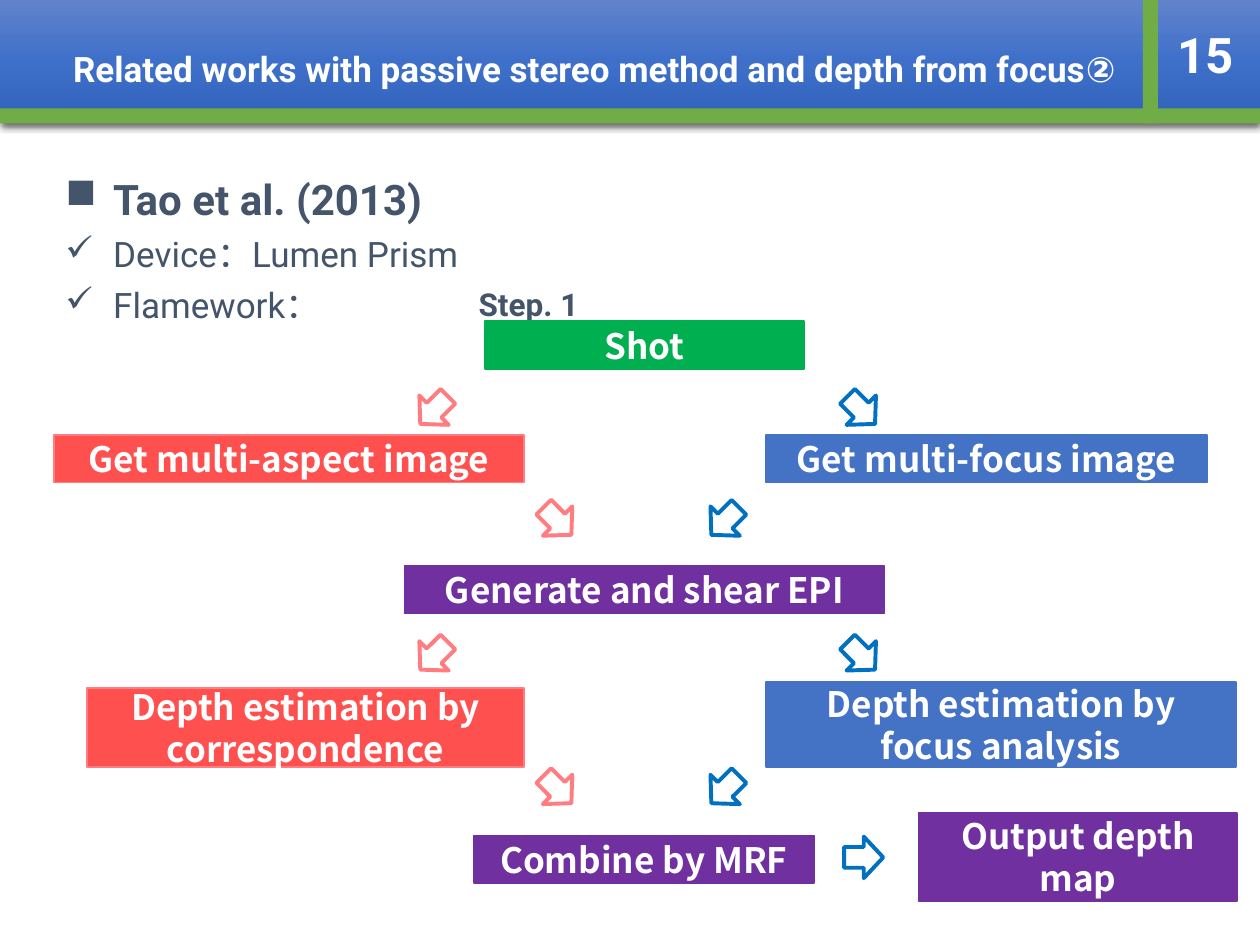
import copy
import pptx
import pptx.util
import pptx.oxml
import pptx.oxml.ns
import pptx.dml.color
import pptx.enum.shapes
import pptx.enum.text

Inches, Pt = pptx.util.Inches, pptx.util.Pt
RECT = pptx.enum.shapes.MSO_SHAPE.RECTANGLE
UP_ARROW = pptx.enum.shapes.MSO_SHAPE.UP_ARROW
CENTER = pptx.enum.text.PP_ALIGN.CENTER
MIDDLE = pptx.enum.text.MSO_ANCHOR.MIDDLE
WHITE, SLATE, GREEN, BLUE = "FFFFFF", "44546A", "70AD47", "0070C0"
PINK, PURPLE = "FF7C80", "7030A0"


def color(target, value):
    if hasattr(target, "solid"):
        target.solid()
        target = target.fore_color
    target.rgb = pptx.dml.color.RGBColor.from_string(value)


def style(p, size, value, bold=True, name="Roboto"):
    for r in p.runs:
        r.font.size, r.font.bold, r.font.name = Pt(size), bold, name
        color(r.font.color, value)


prs = pptx.Presentation()
prs.slide_width, prs.slide_height = Inches(10), Inches(7.5)
s = prs.slides.add_slide(prs.slide_layouts[6])

header = s.shapes.add_shape(RECT, 0, 0, Inches(10), Inches(0.98))
header.shadow.inherit = False
header.line.fill.background()
header.fill.gradient()
header.fill.gradient_angle = 270
first_stop = next(header._element.iter(pptx.oxml.ns.qn("a:gs")))
first_stop.addnext(copy.deepcopy(first_stop))
stops = [(0, "6183CB"), (0.5, "3E70CA"), (1, "3062BB")]
for stop, (position, value) in zip(header.fill.gradient_stops, stops):
    stop.position = position
    color(stop.color, value)
effects = next(header._element.iter(pptx.oxml.ns.qn("a:effectLst")))
effects.append(pptx.oxml.parse_xml(
    f'<a:outerShdw {pptx.oxml.ns.nsdecls("a")} blurRad="57150" dist="19050" dir="5400000" '
    'algn="ctr" rotWithShape="0"><a:srgbClr val="000000"><a:alpha val="63000"/></a:srgbClr></a:outerShdw>'))
tf = header.text_frame
tf.text = "Related works with passive stereo method and depth from focus②"
tf.vertical_anchor = MIDDLE
tf.margin_left, tf.margin_top = Inches(0.58), Inches(0.15)
tf.paragraphs[0].alignment = pptx.enum.text.PP_ALIGN.LEFT
style(tf.paragraphs[0], 20, WHITE)

for x, y, w, h in [(0, 0.86, 10, 0.12), (9.07, 0, 0.12, 0.98)]:
    bar = s.shapes.add_shape(RECT, Inches(x), Inches(y), Inches(w), Inches(h))
    bar.shadow.inherit = False
    color(bar.fill, GREEN)
    bar.line.fill.background()

number = s.shapes.add_textbox(Inches(9.13), 0, Inches(0.87), Inches(0.86))
tf = number.text_frame
tf.word_wrap = True
tf.vertical_anchor = MIDDLE
tf.text = "15"
tf.paragraphs[0].alignment = CENTER
style(tf.paragraphs[0], 28, WHITE)

body = s.shapes.add_textbox(Inches(0.42), Inches(1.37), Inches(9.15), Inches(6.13))
tf = body.text_frame
tf.word_wrap = True
points = [("■", "Tao et al. (2013)", 24), ("✓", "Device：Lumen Prism", 20), ("✓", "Flamework：", 20)]
tf.text = "\n".join(text for bullet, text, size in points)
for i, (p, (bullet, text, size)) in enumerate(zip(tf.paragraphs, points)):
    pPr = p._p.get_or_add_pPr()
    pPr.set("marL", str(Inches(0.38)))
    pPr.set("indent", str(-Inches(0.38)))
    pPr.append(pptx.oxml.parse_xml(f'<a:buChar {pptx.oxml.ns.nsdecls("a")} char="{bullet}"/>'))
    p.line_spacing = 0.9
    if i:
        p.space_before = Pt(7.5)
    style(p, size, SLATE, bold=i == 0)

step = s.shapes.add_textbox(Inches(2.6), Inches(2.25), Inches(3.19), Inches(0.49))
tf = step.text_frame
tf.word_wrap = True
tf.text = "Step. 1"
tf.paragraphs[0].alignment = CENTER
tf.paragraphs[0].line_spacing = 0.9
style(tf.paragraphs[0], 18, SLATE)

boxes = [
    ("Shot", 3.85, 2.55, 2.53, 0.38, "00B050", "00B050"),
    ("Get multi-aspect image", 0.43, 3.45, 3.73, 0.38, "FF5050", PINK),
    ("Get multi-focus image", 6.08, 3.45, 3.5, 0.38, "4472C4", "4472C4"),
    ("Generate and shear EPI", 3.21, 4.49, 3.81, 0.38, PURPLE, PURPLE),
    ("Depth estimation by correspondence", 0.69, 5.46, 3.47, 0.63, "FF5050", PINK),
    ("Depth estimation by\nfocus analysis", 6.08, 5.41, 3.73, 0.68, "4472C4", "4472C4"),
    ("Combine by MRF", 3.76, 6.63, 2.7, 0.38, PURPLE, PURPLE),
    ("Output depth map", 7.29, 6.45, 2.53, 0.7, PURPLE, PURPLE),
]
for text, x, y, w, h, fill, line in boxes:
    box = s.shapes.add_shape(RECT, Inches(x), Inches(y), Inches(w), Inches(h))
    box.shadow.inherit = False
    color(box.fill, fill)
    color(box.line.fill, line)
    box.line.width = Pt(1)
    tf = box.text_frame
    tf.word_wrap = True
    tf.vertical_anchor = MIDDLE
    tf.text = text
    for p in tf.paragraphs:
        p.alignment = CENTER
        style(p, 20, WHITE, name="Noto Sans CJK JP")

arrows = [(6.69, 6.65, 90, BLUE)]
for y in (3.1, 5.05):
    arrows += [(3.28, y, 225, PINK), (6.67, y, 135, BLUE)]
for y in (3.98, 6.11):
    arrows += [(4.26, y, 135, PINK), (5.59, y, 225, BLUE)]
for x, y, angle, line in arrows:
    arrow = s.shapes.add_shape(UP_ARROW, Inches(x), Inches(y), Inches(0.33), Inches(0.31))
    arrow.shadow.inherit = False
    arrow.rotation = angle
    color(arrow.fill, WHITE)
    color(arrow.line.fill, line)
    arrow.line.width = Pt(2.25)

prs.save("out.pptx")
